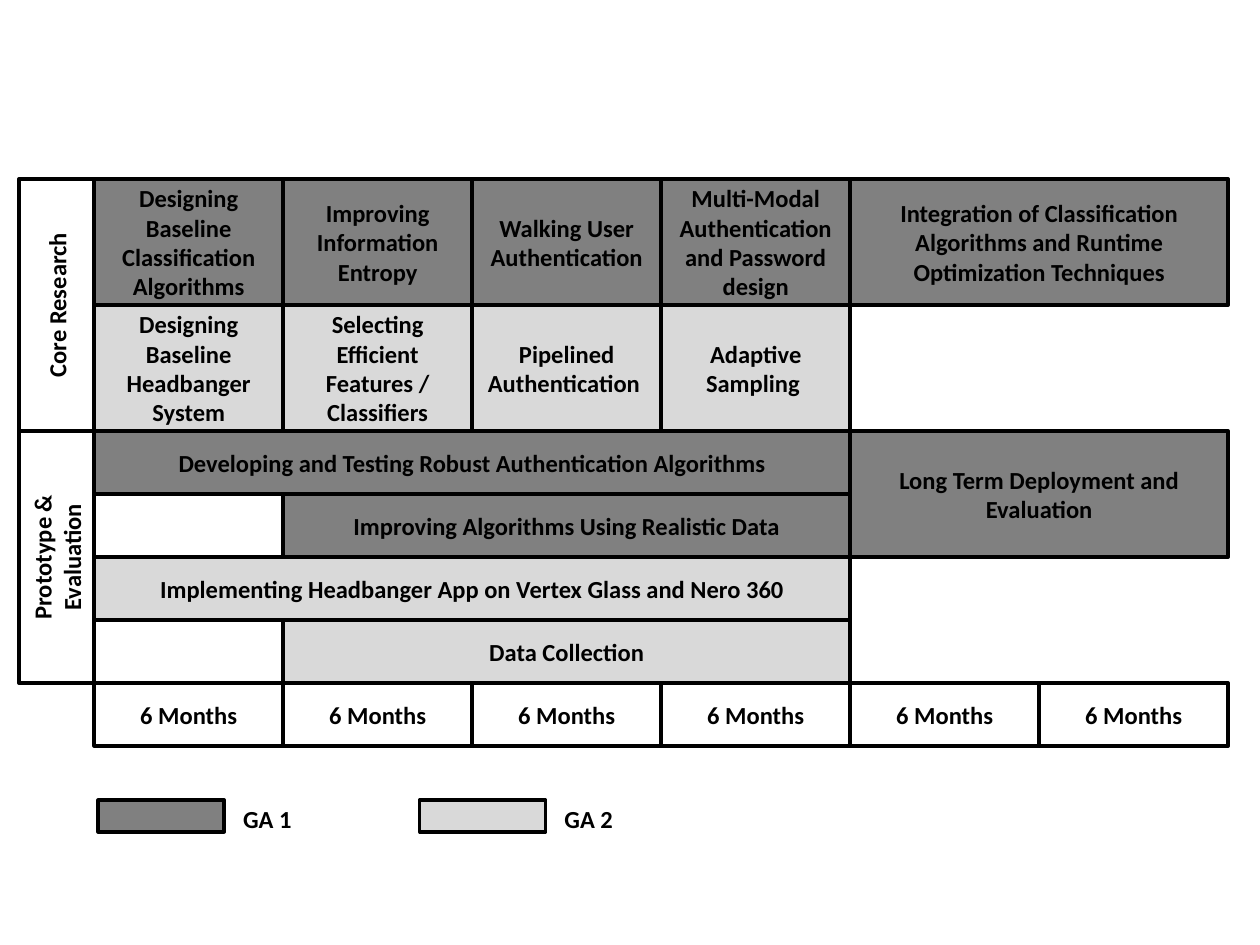
from dataclasses import dataclass

from pptx import Presentation
from pptx.dml.color import RGBColor
from pptx.enum.shapes import MSO_SHAPE
from pptx.enum.text import MSO_ANCHOR, MSO_AUTO_SIZE, PP_ALIGN
from pptx.util import Cm, Pt


@dataclass(frozen=True)
class Theme:
    ink: RGBColor = RGBColor(0x00, 0x00, 0x00)
    ga1: RGBColor = RGBColor(0x80, 0x80, 0x80)
    ga2: RGBColor = RGBColor(0xD9, 0xD9, 0xD9)
    font: str = "Calibri"
    size: Pt = Pt(14)
    line: Pt = Pt(2)


@dataclass(frozen=True)
class Box:
    left: float
    top: float
    width: float
    height: float

    def emu(self):
        return Cm(self.left), Cm(self.top), Cm(self.width), Cm(self.height)


THEME = Theme()
COL, ROW = 3.81, 1.27

TASKS = [
    (0, 0, 1, 2, THEME.ga1, "Designing Baseline Classification Algorithms"),
    (1, 0, 1, 2, THEME.ga1, "Improving Information Entropy"),
    (2, 0, 1, 2, THEME.ga1, "Walking User Authentication"),
    (3, 0, 1, 2, THEME.ga1, "Multi-Modal Authentication and Password design"),
    (4, 0, 2, 2, THEME.ga1,
     "Integration of Classification Algorithms and Runtime Optimization Techniques"),
    (0, 2, 1, 2, THEME.ga2, "Designing Baseline Headbanger System"),
    (1, 2, 1, 2, THEME.ga2, "Selecting Efficient Features / Classifiers"),
    (2, 2, 1, 2, THEME.ga2, "Pipelined Authentication "),
    (3, 2, 1, 2, THEME.ga2, "Adaptive Sampling "),
    (0, 4, 4, 1, THEME.ga1, "Developing and Testing Robust Authentication Algorithms"),
    (1, 5, 3, 1, THEME.ga1, "Improving Algorithms Using Realistic Data"),
    (0, 6, 4, 1, THEME.ga2, "Implementing Headbanger App on Vertex Glass and Nero 360"),
    (1, 7, 3, 1, THEME.ga2, "Data Collection"),
    (4, 4, 2, 2, THEME.ga1, "Long Term Deployment and Evaluation"),
]


def add_run(p, text):
    r = p.add_run()
    r.text = text
    r.font.name = THEME.font
    r.font.size = THEME.size
    r.font.bold = True
    r.font.color.rgb = THEME.ink


def add_block(slide, box, fill=None, text=""):
    sp = slide.shapes.add_shape(MSO_SHAPE.RECTANGLE, *box.emu())
    sp.shadow.inherit = False
    if fill is None:
        sp.fill.background()
    else:
        sp.fill.solid()
        sp.fill.fore_color.rgb = fill
    sp.line.color.rgb = THEME.ink
    sp.line.width = THEME.line
    if text:
        tf = sp.text_frame
        tf.word_wrap = True
        tf.vertical_anchor = MSO_ANCHOR.MIDDLE
        p = tf.paragraphs[0]
        p.alignment = PP_ALIGN.CENTER
        add_run(p, text)
    return sp


def add_phases(slide, box, names):
    length = box.height / len(names)
    for i, name in enumerate(names):
        left = box.left + (box.width - length) / 2
        top = box.top + i * length + (length - box.width) / 2
        sp = add_block(slide, Box(left, top, length, box.width), text=name)
        sp.rotation = 270


def add_tasks(slide, box, tasks):
    for col, row, cols, rows, fill, text in tasks:
        cell = Box(box.left + col * COL, box.top + row * ROW, cols * COL, rows * ROW)
        add_block(slide, cell, fill, text)


def add_timeline(slide, box, periods):
    width = box.width / periods
    for i in range(periods):
        cell = Box(box.left + i * width, box.top, width, box.height)
        add_block(slide, cell, text="6 Months")


def add_legend(slide, box, entries):
    pitch = box.width / len(entries)
    for i, (fill, name) in enumerate(entries):
        left = box.left + i * pitch
        add_block(slide, Box(left, box.top, 2.54, box.height), fill)
        label = Box(left + 2.67, box.top - 0.05, 1.5, 0.86)
        tf = slide.shapes.add_textbox(*label.emu()).text_frame
        tf.word_wrap = False
        tf.auto_size = MSO_AUTO_SIZE.SHAPE_TO_FIT_TEXT
        add_run(tf.paragraphs[0], name)


def main():
    prs = Presentation()
    prs.slide_width, prs.slide_height = Cm(25.4), Cm(19.05)
    slide = prs.slides.add_slide(prs.slide_layouts[6])

    chart = Box(1.9, 3.61, 6 * COL, 8 * ROW)
    phases = Box(chart.left - 1.52, chart.top, 1.52, chart.height)
    timeline = Box(chart.left, chart.top + chart.height, chart.width, ROW)
    add_phases(slide, phases, ["Core Research", "Prototype & Evaluation"])
    add_tasks(slide, chart, TASKS)
    add_timeline(slide, timeline, 6)
    add_legend(slide, Box(1.98, 16.13, 12.96, 0.64),
               [(THEME.ga1, "GA 1"), (THEME.ga2, "GA 2")])
    prs.save("out.pptx")


if __name__ == "__main__":
    main()
